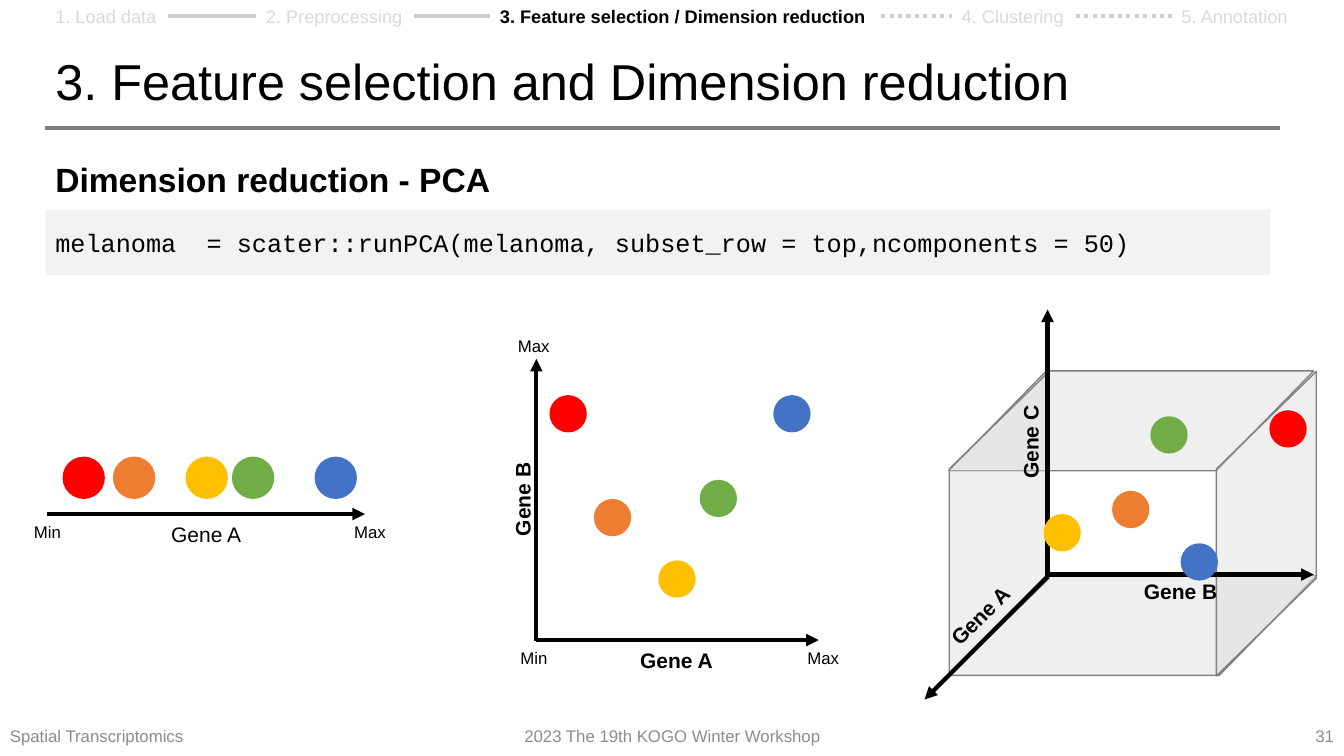
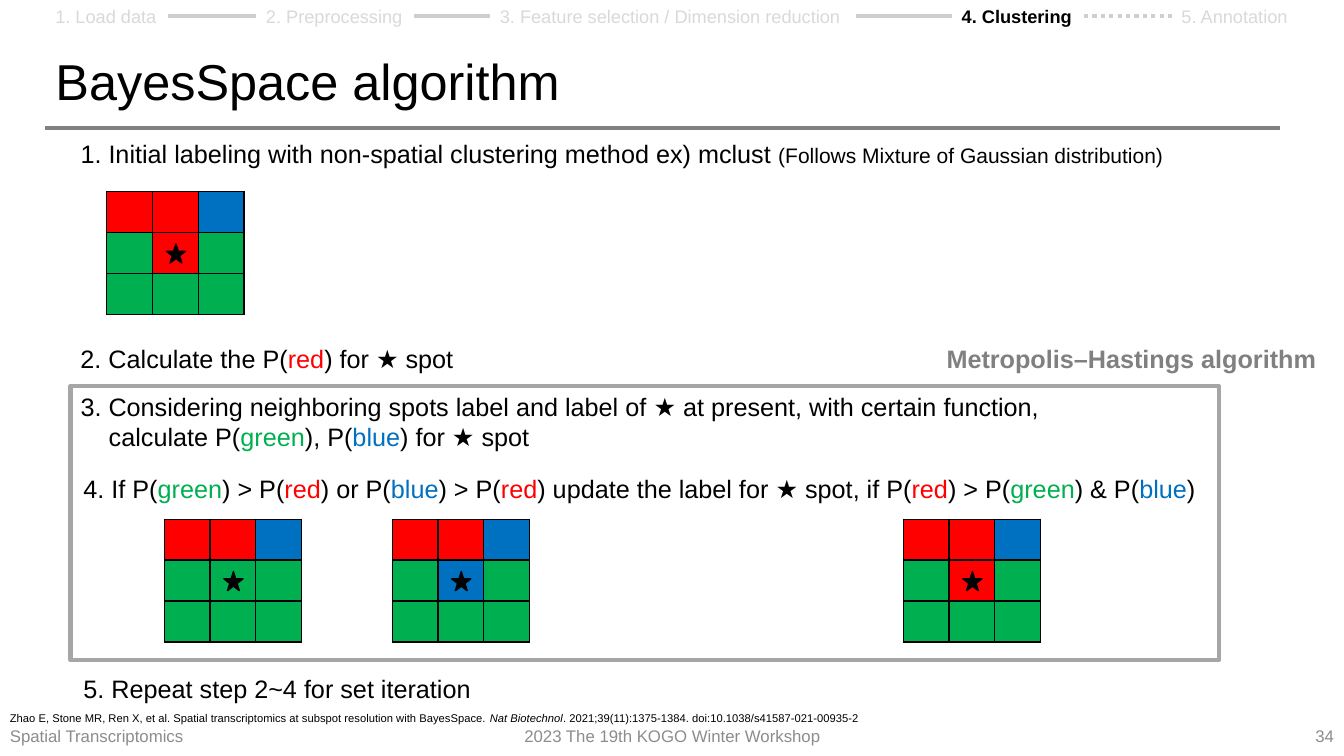
from dataclasses import dataclass
from typing import NamedTuple

from pptx import Presentation
from pptx.dml.color import RGBColor
from pptx.enum.dml import MSO_LINE
from pptx.enum.shapes import MSO_CONNECTOR, MSO_SHAPE
from pptx.enum.text import MSO_ANCHOR, MSO_AUTO_SIZE, PP_ALIGN
from pptx.oxml.ns import qn
from pptx.util import Emu, Pt
from lxml import etree

LEFT, CENTER, RIGHT = PP_ALIGN.LEFT, PP_ALIGN.CENTER, PP_ALIGN.RIGHT
TOP, MIDDLE = MSO_ANCHOR.TOP, MSO_ANCHOR.MIDDLE
RECT, OVAL, STAR = MSO_SHAPE.RECTANGLE, MSO_SHAPE.OVAL, MSO_SHAPE.STAR_5_POINT
SLANT = MSO_SHAPE.PARALLELOGRAM
STRAIGHT, DOTTED = MSO_CONNECTOR.STRAIGHT, MSO_LINE.ROUND_DOT

# Colours
BLACK = RGBColor(0x00, 0x00, 0x00)
GRAY = RGBColor(0x80, 0x80, 0x80)
FOOT = RGBColor(0x8C, 0x8C, 0x8C)
FRAME = RGBColor(0xA6, 0xA6, 0xA6)
LINK = RGBColor(0xD0, 0xCE, 0xCE)
LIGHT = RGBColor(0xD9, 0xD9, 0xD9)
PALE = RGBColor(0xF2, 0xF2, 0xF2)
RED = RGBColor(0xFF, 0x00, 0x00)
GREEN = RGBColor(0x00, 0xB0, 0x50)
BLUE = RGBColor(0x00, 0x70, 0xC0)
DOT_HUES = [RED, RGBColor(0xED, 0x7D, 0x31), RGBColor(0xFF, 0xC0, 0x00),
            RGBColor(0x70, 0xAD, 0x47), RGBColor(0x44, 0x72, 0xC4)]

SCALE = 9144  # EMU in one px, 100 px to the inch


class Box(NamedTuple):
    x: int
    y: int
    w: int
    h: int


class Mark(NamedTuple):
    color: RGBColor | None = None
    size: int | None = None
    bold: bool | None = None
    italic: bool | None = None


class Step(NamedTuple):
    name: str
    x: int
    plain: int  # width when not current
    strong: int  # width when current


@dataclass
class Label:
    text: str
    box: Box
    size: int = 15
    bold: bool = False
    turn: int = 0


STEPS = [
    Step("1. Load data", 45, 122, 122),
    Step("2. Preprocessing", 254, 157, 157),
    Step("3. Feature selection / Dimension reduction", 486, 363, 388),
    Step("4. Clustering", 944, 123, 131),
    Step("5. Annotation", 1162, 127, 127),
]

# Runs, parted by "|" in a text, that have their own look
MARKS = {
    "red": Mark(RED), "green": Mark(GREEN), "blue": Mark(BLUE),
    "★": Mark(bold=True), "★ ": Mark(bold=True),
    "(Follows Mixture of Gaussian distribution)": Mark(size=15),
    "Nat Biotechnol": Mark(italic=True),
}


def px(n: int) -> Emu:
    return Emu(n * SCALE)


def area(box: Box) -> list[Emu]:
    return [px(n) for n in box]


# Basic parts
def write(shape, text: str, *, size: int = 18, color: RGBColor = BLACK,
          bold: bool = False, font: str = "Arial", align=LEFT, anchor=TOP,
          wrap: bool = True, lead: float | None = None, indent: int = 0) -> None:
    """Fill a shape with text; indent applies to lines after the first."""
    frame = shape.text_frame
    frame.word_wrap = wrap
    frame.auto_size = MSO_AUTO_SIZE.NONE
    frame.vertical_anchor = anchor
    for i, line in enumerate(text.split("\n")):
        para = frame.add_paragraph() if i else frame.paragraphs[0]
        para.alignment = align
        if lead:
            para.line_spacing = lead
        if i and indent:
            para._p.get_or_add_pPr().set("marL", str(px(indent)))
        for part in line.split("|"):
            mark = MARKS.get(part, Mark())
            run = para.add_run()
            run.text = part
            run.font.name = font
            run.font.size = Pt(mark.size or size)
            run.font.bold = mark.bold or bold
            run.font.italic = bool(mark.italic)
            run.font.color.rgb = mark.color or color


def note(slide, text: str, box: Box, *, turn: int = 0, **look) -> None:
    shape = slide.shapes.add_textbox(*area(box))
    shape.rotation = turn
    write(shape, text, **look)


def draw(slide, kind, box: Box, *, fill: RGBColor | None = None,
         edge: RGBColor | None = None, width: int = 1):
    shape = slide.shapes.add_shape(kind, *area(box))
    shape.shadow.inherit = False
    if fill is None:
        shape.fill.background()
    else:
        shape.fill.solid()
        shape.fill.fore_color.rgb = fill
    if edge is None:
        shape.line.fill.background()
    else:
        shape.line.color.rgb = edge
        shape.line.width = Pt(width)
    return shape


def rule(slide, x: int, y: int, to_x: int, to_y: int, *, color: RGBColor = BLACK,
         dotted: bool = False, arrow: bool = False) -> None:
    line = slide.shapes.add_connector(STRAIGHT, px(x), px(y), px(to_x), px(to_y))
    line.line.color.rgb = color
    line.line.width = Pt(3)
    if dotted:
        line.line.dash_style = DOTTED
    props = line._element.spPr
    if arrow:
        etree.SubElement(props.find(qn("a:ln")), qn("a:tailEnd"), type="triangle")
    etree.SubElement(props, qn("a:effectLst"))


# Shared frame: title, step bar and footer
def start(deck, title: str, now: int, page: int):
    slide = deck.slides.add_slide(deck.slide_layouts[5])
    rule(slide, 45, 127, 1270, 127, color=GRAY)
    head = slide.shapes.title
    head.left, head.top, head.width, head.height = area(Box(45, 41, 1288, 86))
    write(head, title, size=36, anchor=MIDDLE, lead=0.9)

    end = 0
    for i, step in enumerate(STEPS, 1):
        width = step.strong if i == now else step.plain
        note(slide, step.name, Box(step.x, 0, width, 32), size=13,
             color=BLACK if i == now else LIGHT, bold=i == now, wrap=False)
        if i > 1:
            rule(slide, end, 16, step.x, 16, color=LINK, dotted=i > now)
        end = step.x + width

    for text, x, width, align in [
        ("Spatial Transcriptomics", 0, 300, LEFT),
        ("2023 The 19th KOGO Winter Workshop", 442, 450, CENTER),
        (str(page), 1278, 55, RIGHT),
    ]:
        note(slide, text, Box(x, 710, width, 40), size=12, color=FOOT,
             align=align, anchor=MIDDLE)
    return slide


# Gene plots
def dots(slide, size: int, spots: list[tuple[int, int]]) -> None:
    for (x, y), hue in zip(spots, DOT_HUES):
        draw(slide, OVAL, Box(x, y, size, size), fill=hue)


def pane(slide, box: Box, turn: int, flip: bool) -> None:
    shape = draw(slide, SLANT, box, fill=LIGHT, edge=GRAY)
    shape.adjustments[0] = 0.977
    shape.rotation = turn
    props = shape._element.spPr
    if flip:
        props.get_or_add_xfrm().set("flipH", "1")
    tint = props.find(qn("a:solidFill")).find(qn("a:srgbClr"))
    etree.SubElement(tint, qn("a:alpha"), val="40000")


def genes(deck) -> None:
    slide = start(deck, "3. Feature selection and Dimension reduction", 3, 31)
    note(slide, "Dimension reduction - PCA", Box(45, 153, 456, 50), size=24,
         bold=True, wrap=False)
    code = draw(slide, RECT, Box(45, 208, 1215, 65), fill=PALE)
    write(code, "melanoma  = scater::runPCA(melanoma, subset_row = top,ncomponents = 50)",
          font="Courier New", anchor=MIDDLE)

    # Cube sides
    for box, turn, flip in [
        (Box(941, 571, 365, 99), 180, False),
        (Box(941, 368, 362, 99), 180, False),
        (Box(840, 470, 302, 99), 90, True),
        (Box(1105, 470, 302, 99), 90, True),
    ]:
        pane(slide, box, turn, flip)

    # Axes of the three plots
    for ends in [
        (47, 510, 362, 510),
        (532, 635, 812, 635), (532, 636, 532, 356),
        (1039, 572, 1039, 307), (1038, 570, 1303, 570), (1039, 572, 917, 694),
    ]:
        rule(slide, *ends, arrow=True)

    for label in [
        Label("Gene A", Box(76, 512, 257, 35)),
        Label("Min", Box(23, 513, 48, 24), 12),
        Label("Max", Box(339, 513, 56, 30), 12),
        Label("Gene A", Box(557, 637, 228, 35), bold=True),
        Label("Min", Box(499, 638, 61, 30), 12),
        Label("Max", Box(786, 638, 61, 30), 12),
        Label("Max", Box(503, 328, 53, 27), 12),
        Label("Gene B", Box(404, 478, 228, 35), bold=True, turn=270),
        Label("Gene A", Box(921, 593, 102, 35), bold=True, turn=315),
        Label("Gene B", Box(1057, 569, 228, 35), bold=True),
        Label("Gene C", Box(908, 421, 228, 35), bold=True, turn=270),
    ]:
        note(slide, label.text, label.box, turn=label.turn, size=label.size,
             bold=label.bold, align=CENTER)

    dots(slide, 42, [(x, 453) for x in (62, 112, 184, 230, 312)])
    dots(slide, 37, [(545, 392), (589, 495), (653, 556), (694, 476), (767, 392)])
    dots(slide, 37, [(1259, 407), (1103, 487), (1035, 510), (1141, 413), (1171, 539)])


# Spot grids
def grid(slide, x: int, y: int, core: RGBColor) -> None:
    wide, high, star = 136, 122, 19
    table = slide.shapes.add_table(3, 3, *area(Box(x, y, wide, high))).table
    table.first_row = table.horz_banding = False
    hues = [RED, RED, BLUE, GREEN, core, GREEN, GREEN, GREEN, GREEN]
    for cell, hue in zip(table.iter_cells(), hues):
        cell.margin_top = cell.margin_bottom = 0
        props = cell._tc.get_or_add_tcPr()
        for side in "LRTB":
            edge = etree.SubElement(props, qn(f"a:ln{side}"), w=str(Pt(1)))
            fill = etree.SubElement(edge, qn("a:solidFill"))
            etree.SubElement(fill, qn("a:srgbClr"), val=str(BLACK))
        cell.fill.solid()
        cell.fill.fore_color.rgb = hue
    mid = Box(x + (wide - star + 1) // 2, y + (high - star + 1) // 2, star, star)
    draw(slide, STAR, mid, fill=BLACK, edge=BLACK)


def bayes(deck) -> None:
    slide = start(deck, "BayesSpace algorithm", 4, 34)
    draw(slide, RECT, Box(70, 383, 1139, 272), edge=FRAME, width=3)
    note(slide, "1. Initial labeling with non-spatial clustering method ex) mclust "
         "|(Follows Mixture of Gaussian distribution)", Box(70, 132, 1105, 40), wrap=False)
    note(slide, "2. Calculate the P(|red|) for |★ |spot", Box(70, 336, 406, 40), wrap=False)
    note(slide, "3. Considering neighboring spots label and label of |★"
         "| at present, with certain function,\n"
         "calculate P(|green|), P(|blue|) for |★ |spot", Box(70, 383, 1128, 71), indent=28)
    note(slide, "4. If P(|green|) > P(|red|) or P(|blue|) > P(|red|) update the label for "
         "|★ |spot, if P(|red|) > P(|green|) & P(|blue|)", Box(73, 465, 1234, 40))
    note(slide, "5. Repeat step 2~4 for set iteration", Box(73, 663, 1234, 40))
    note(slide, "Metropolis–Hastings algorithm", Box(929, 336, 390, 40),
         color=GRAY, bold=True, wrap=False)
    note(slide, "Zhao E, Stone MR, Ren X, et al. Spatial transcriptomics at subspot "
         "resolution with BayesSpace. |Nat Biotechnol"
         "|. 2021;39(11):1375-1384. doi:10.1038/s41587-021-00935-2",
         Box(0, 701, 1280, 24), size=8)
    for x, y, core in [(106, 190, RED), (163, 515, GREEN), (389, 515, BLUE), (896, 515, RED)]:
        grid(slide, x, y, core)


def main() -> None:
    deck = Presentation()
    deck.slide_width, deck.slide_height = px(1333), px(750)
    genes(deck)
    bayes(deck)
    deck.save("out.pptx")


if __name__ == "__main__":
    main()
